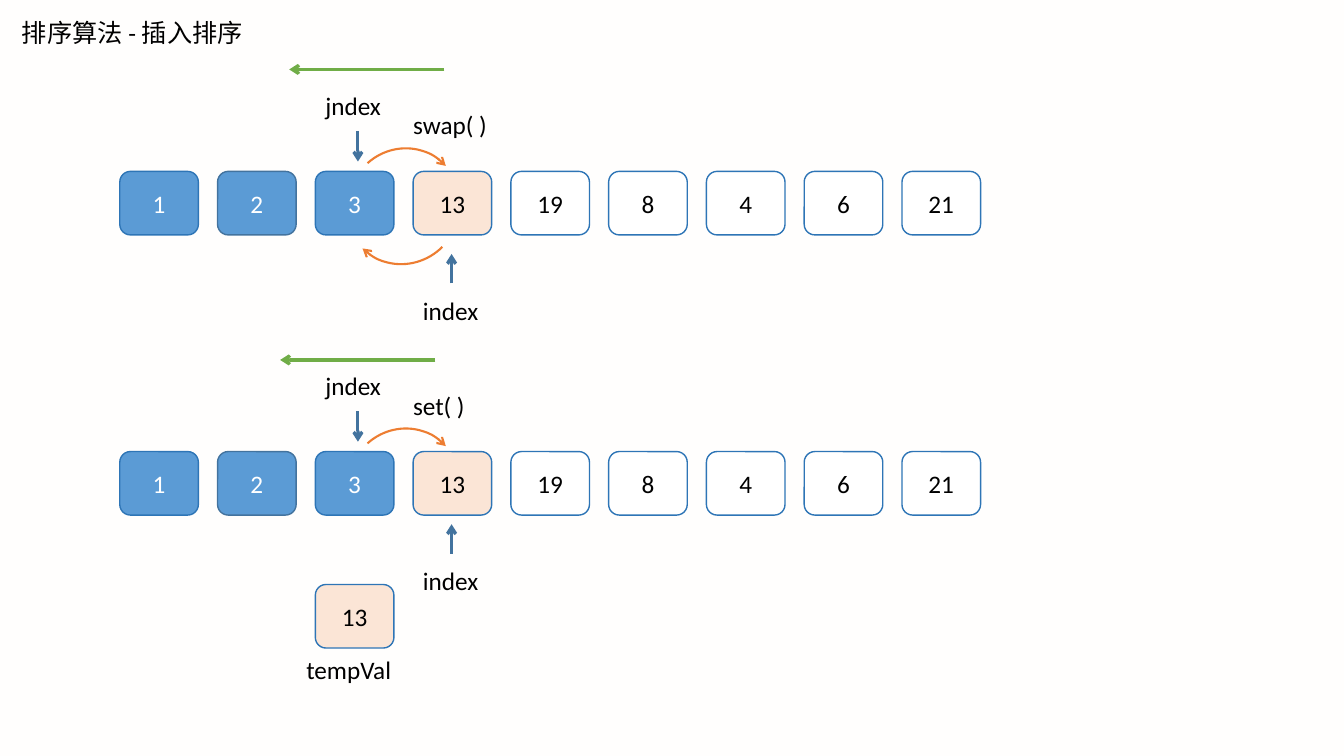
import pptx
import pptx.dml.color
import pptx.enum.shapes
import pptx.enum.text
import pptx.oxml.ns
import pptx.util
from lxml import etree
from pptx.util import Cm

SHAPE = pptx.enum.shapes.MSO_SHAPE
ANCHOR = pptx.enum.text.MSO_ANCHOR
ALIGN = pptx.enum.text.PP_ALIGN
qn = pptx.oxml.ns.qn

VALUES = [1, 2, 3, 13, 19, 8, 4, 6, 21]
SORTED_COUNT = 3
CELL_LEFT, CELL_PITCH = 3.02, 2.464
CELL_W, CELL_H = 1.98, 1.6

BLUE, EDGE, STEEL = "5B9BD5", "2E75B6", "43739E"
PEACH, ORANGE, GREEN = "FBE5D6", "ED7D31", "70AD47"
WHITE, BLACK, PAPER = "FFFFFF", "000000", "FFFEFD"


def rgb(value):
    return pptx.dml.color.RGBColor.from_string(value)


def place(s, x, y, w, h):
    s.left, s.top, s.width, s.height = Cm(x), Cm(y), Cm(w), Cm(h)


def write(s, text, color=BLACK, align=ALIGN.LEFT, anchor=ANCHOR.TOP):
    tf = s.text_frame
    tf.word_wrap = True
    tf.auto_size = pptx.enum.text.MSO_AUTO_SIZE.NONE
    tf.vertical_anchor = anchor
    p = tf.paragraphs[0]
    p.alignment = align
    p.line_spacing = 1.0
    r = p.add_run()
    r.text = text
    r.font.size = pptx.util.Pt(18)
    r.font.name = "Calibri"
    r.font.color.rgb = rgb(color)


def label(slide, text, x, y, w=2.18):
    write(slide.shapes.add_textbox(Cm(x), Cm(y), Cm(w), Cm(1.02)), text)


def outline(s, color, width):
    s.line.color.rgb = rgb(color)
    s.line.width = pptx.util.Pt(width)


def arrowhead(s):
    ln = s.element.spPr.find(qn("a:ln"))
    etree.SubElement(ln, qn("a:tailEnd"), type="arrow")


def arrow(slide, x1, y1, x2, y2, color):
    s = slide.shapes.add_connector(pptx.enum.shapes.MSO_CONNECTOR.STRAIGHT,
                                   Cm(x1), Cm(y1), Cm(x2), Cm(y2))
    outline(s, color, 2.25)
    arrowhead(s)
    etree.SubElement(s.element.spPr, qn("a:effectLst"))


def arc(slide, x, y, w, h, rotation):
    s = slide.shapes.add_shape(SHAPE.ARC, Cm(x), Cm(y), Cm(w), Cm(h))
    s.rotation = rotation
    s.fill.background()
    outline(s, ORANGE, 1.5)
    arrowhead(s)
    s.shadow.inherit = False


def cell(slide, column, top, value, fill, edge=EDGE):
    s = slide.shapes.add_shape(SHAPE.ROUNDED_RECTANGLE,
                               Cm(CELL_LEFT + column * CELL_PITCH), Cm(top),
                               Cm(CELL_W), Cm(CELL_H))
    s.shadow.inherit = False
    s.fill.solid()
    s.fill.fore_color.rgb = rgb(fill)
    outline(s, edge, 1)
    write(s, str(value), WHITE if fill == BLUE else BLACK,
          ALIGN.CENTER, ANCHOR.MIDDLE)


def sort_step(slide, top, call, scan_right, scan_y, index_y):
    # Array: sorted part, current value, unsorted part
    for i, value in enumerate(VALUES):
        fill = BLUE if i < SORTED_COUNT else PEACH if i == SORTED_COUNT else WHITE
        cell(slide, i, top, value, fill, STEEL if i == 1 else EDGE)

    # Pointers below and above the array
    label(slide, "index", 10.41, index_y + 0.92)
    arrow(slide, 11.38, index_y + 0.74, 11.38, index_y, STEEL)
    label(slide, "jndex", 7.95, top - 2.18)
    arrow(slide, 9.02, top - 1.02, 9.02, top - 0.25, STEEL)

    # Operation and scan direction
    arc(slide, 8.76, top - 0.56, 2.84, 2.74, 318)
    label(slide, call, 10.16, top - 1.68, 2.72)
    arrow(slide, scan_right, scan_y, scan_right - 3.91, scan_y, GREEN)


def main():
    prs = pptx.Presentation()
    prs.slide_width, prs.slide_height = Cm(33.87), Cm(19.05)
    slide = prs.slides.add_slide(prs.slide_layouts[5])
    slide.background.fill.solid()
    slide.background.fill.fore_color.rgb = rgb(PAPER)

    # Title
    title = slide.shapes.title
    place(title, 0.3, 0.3, 11.28, 1.02)
    write(title, "排序算法 - 插入排序")

    # Insertion by swapping neighbours
    sort_step(slide, 4.32, "swap( )", 11.2, 1.75, 6.4)
    arc(slide, 8.71, 3.84, 2.9, 2.79, 135)

    # Insertion by shifting, with the value kept aside
    sort_step(slide, 11.38, "set( )", 10.97, 9.07, 13.21)
    cell(slide, SORTED_COUNT - 1, 14.73, VALUES[SORTED_COUNT], PEACH)
    label(slide, "tempVal", 7.47, 16.36, 11.28)

    prs.save("out.pptx")


if __name__ == "__main__":
    main()
